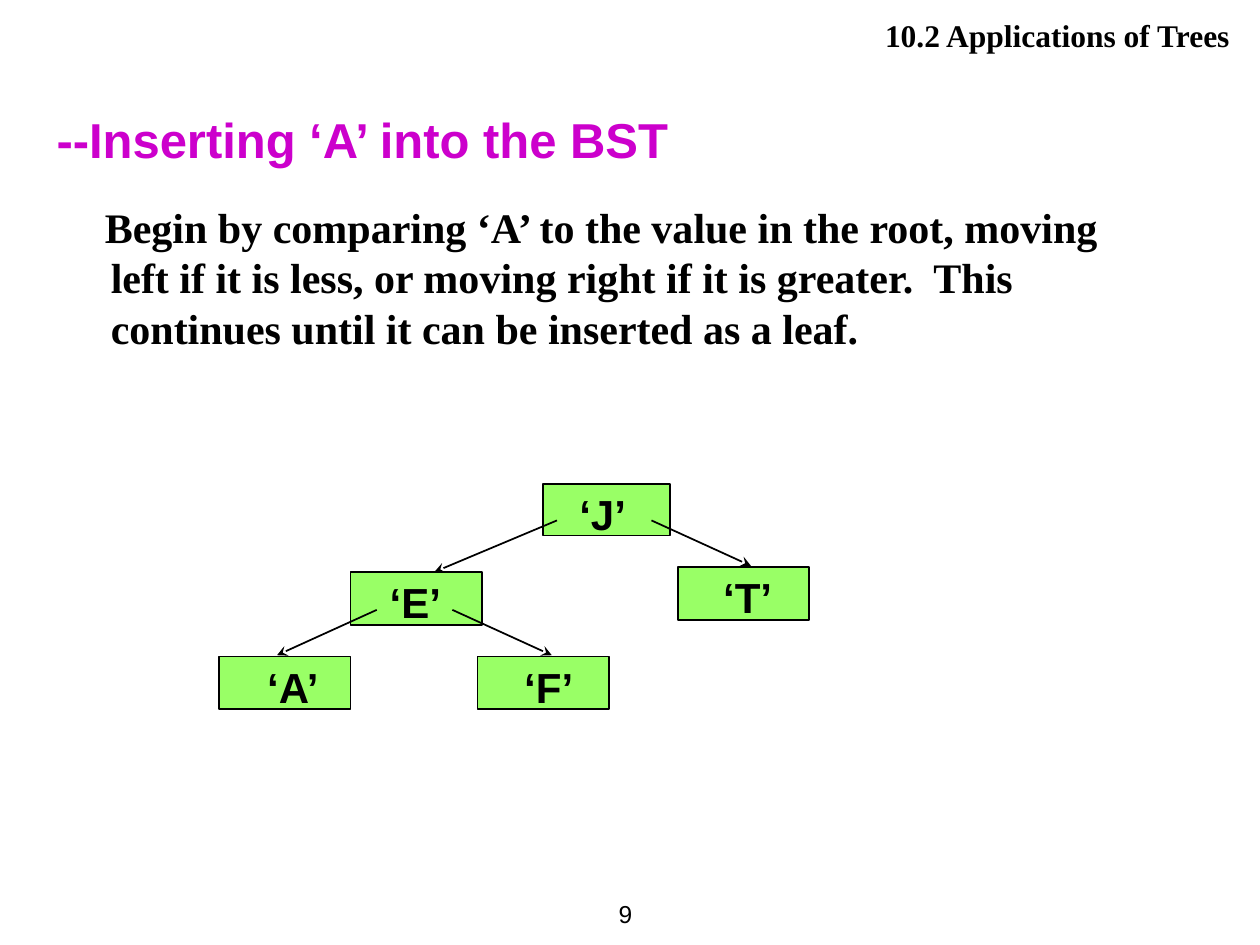
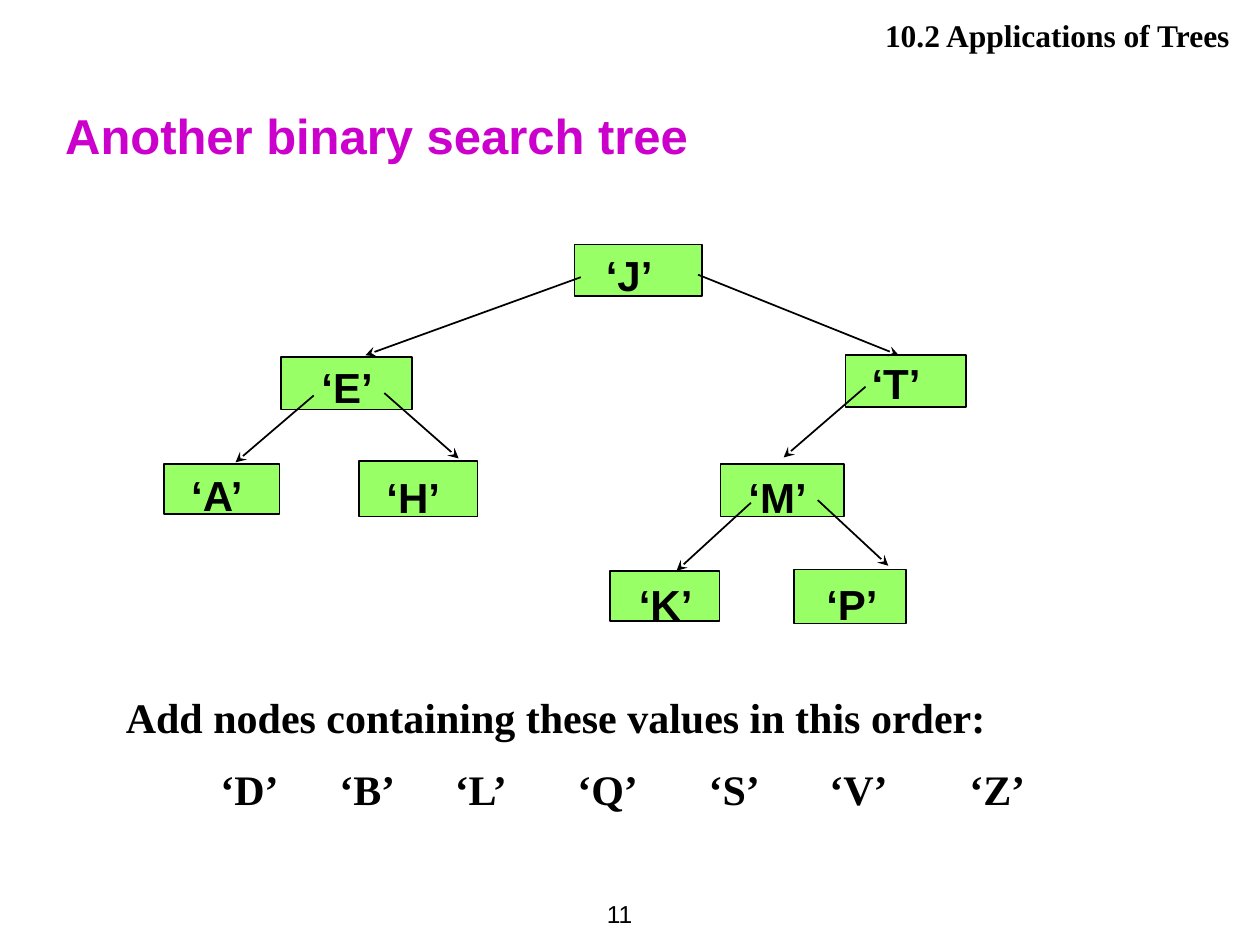
import pptx
import pptx.util
import pptx.dml.color
import pptx.enum.shapes
import pptx.enum.text
import pptx.oxml.ns
from lxml import etree

Pt = pptx.util.Pt
Align = pptx.enum.text.PP_ALIGN
Anchor = pptx.enum.text.MSO_ANCHOR
SANS, SERIF = "Arial", "Times New Roman"
BLACK, GREEN, PURPLE = "000000", "99FF66", "CC00CC"
STOPS = (54, 122, 188, 258, 333, 402, 482)
VALUES = ("‘D’", "‘B’", "‘L’", "‘Q’", "‘S’", "‘V’", "‘Z’")

# name, box (x, y, width, height), label shift (x, y)
SMALL_NODES = (
    ("‘J’", (185, 0.7, 72.7, 29.5), (13.7, -0.7)),
    ("‘E’", (75, 51, 75, 30.2), (15.3, -0.7)),
    ("‘F’", (147.6, 99.3, 75, 30.2), (19.6, -0.7)),
    ("‘T’", (262, 48.2, 75, 30.2), (18.9, -0.7)),
    ("‘A’", (0, 99.3, 75, 30.2), (20.3, -0.7)),
)
SMALL_LINKS = (
    (193, 21.6, 123, 51),
    (247, 21.6, 303.8, 47.5),
    (90, 72.7, 33, 98.6),
    (133.2, 72.7, 190, 98.6),
)
LARGE_NODES = (
    ("‘J’", (234.7, 0.7, 72.7, 29.5), (10.8, -0.7)),
    ("‘E’", (67, 64.8, 75, 30.2), (16, -0.7)),
    ("‘T’", (389.5, 64, 69, 29.5), (7.9, -2.2)),
    ("‘A’", (0, 126, 66.2, 28.8), (8.6, 0)),
    ("‘H’", (111.6, 124.5, 67.7, 31.7), (8.6, 2.2)),
    ("‘M’", (318.2, 126, 70.6, 30.2), (8.8, 0.7)),
    ("‘K’", (255, 187.2, 62.6, 28.8), (9.4, 0.7)),
    ("‘P’", (360, 186.4, 64, 31), (11.5, 1.4)),
)
LARGE_LINKS = (
    (238.3, 19.4, 115.2, 64),
    (305.3, 18, 420, 64),
    (85.7, 87, 41, 125.2),
    (126, 85.6, 168.5, 123),
    (401, 82, 354.2, 122.4),
    (335.5, 148.3, 293, 187.2),
    (373.7, 146.8, 414, 184.3),
)


def color(code):
    return pptx.dml.color.RGBColor.from_string(code)


def child(node, tag, **attrs):
    return etree.SubElement(node, pptx.oxml.ns.qn(tag), attrs)


def write(slide, box, lines, size, face=SANS, ink=BLACK, bold=True,
          align=Align.LEFT, anchor=Anchor.TOP):
    frame = slide.shapes.add_textbox(*map(Pt, box)).text_frame
    frame.word_wrap = True
    frame.vertical_anchor = anchor
    for index, line in enumerate(lines):
        para = frame.add_paragraph() if index else frame.paragraphs[0]
        para.text = line
        para.alignment = align
        font = para.font
        font.name, font.size, font.bold = face, Pt(size), bold
        font.color.rgb = color(ink)
    return frame.paragraphs


def draw_frame(slide, title, box, number):
    write(slide, (286.6, 5.8, 423.2, 29), ["10.2 Applications of Trees"],
          18, SERIF, align=Align.RIGHT)
    write(slide, box, [title], 28, ink=PURPLE, anchor=Anchor.BOTTOM)
    write(slide, (320.4, 504, 48, 36), [number], 14, bold=False,
          align=Align.RIGHT, anchor=Anchor.MIDDLE)


def draw_link(slide, left, top, ends):
    x1, y1, x2, y2 = ends
    link = slide.shapes.add_connector(
        pptx.enum.shapes.MSO_CONNECTOR.STRAIGHT,
        Pt(left + x1), Pt(top + y1), Pt(left + x2), Pt(top + y2))
    link.line.width = Pt(1)
    link.line.color.rgb = color(BLACK)
    child(link.line._get_or_add_ln(), "a:tailEnd", type="stealth")
    child(link._element.spPr, "a:effectLst")


def draw_tree(slide, left, top, nodes, links):
    for name, (x, y, width, height), shift in nodes:
        rect = slide.shapes.add_shape(
            pptx.enum.shapes.MSO_SHAPE.RECTANGLE,
            Pt(left + x), Pt(top + y), Pt(width), Pt(height))
        rect.shadow.inherit = False
        rect.fill.solid()
        rect.fill.fore_color.rgb = color(GREEN)
        rect.line.color.rgb = color(BLACK)
        rect.line.width = Pt(1)
    for ends in links:
        draw_link(slide, left, top, ends)
    for name, (x, y, width, height), (dx, dy) in nodes:
        write(slide, (left + x + dx, top + y + dy, 50, 36), [name], 24)


def draw_intro(slide, box):
    para = write(slide, box, [
        "Begin by comparing ‘A’ to the value in the root, moving left if it "
        "is less, or moving right if it is greater.  This continues until "
        "it can be inserted as a leaf."], 24, SERIF)[0]
    props = para._p.get_or_add_pPr()
    props.set("marL", str(Pt(27.4)))
    props.set("indent", str(Pt(-3.4)))


def draw_task(slide, box):
    row = "".join("\t" + value for value in VALUES)
    para = write(slide, box, [
        "Add nodes containing these values in this order:", row],
        24, SERIF)[1]
    para.space_before = Pt(12)
    props = para._p.get_or_add_pPr()
    tabs = etree.Element(pptx.oxml.ns.qn("a:tabLst"))
    for stop in STOPS:
        child(tabs, "a:tab", pos=str(Pt(stop)), algn="l")
    props.find(pptx.oxml.ns.qn("a:spcBef")).addnext(tabs)


def main():
    deck = pptx.Presentation()
    deck.slide_width, deck.slide_height = Pt(720), Pt(540)
    blank = deck.slide_layouts[6]

    slide = deck.slides.add_slide(blank)
    draw_frame(slide, "--Inserting ‘A’ into the BST", (25.2, 49, 660, 51), "9")
    draw_intro(slide, (28.8, 111.6, 639.4, 108))
    draw_tree(slide, 125.3, 275.8, SMALL_NODES, SMALL_LINKS)

    slide = deck.slides.add_slide(blank)
    draw_frame(slide, "Another binary search tree", (30.2, 43.2, 670, 54), "11")
    draw_tree(slide, 93.6, 139, LARGE_NODES, LARGE_LINKS)
    draw_task(slide, (64.8, 391.7, 541.4, 77))

    deck.save("out.pptx")


if __name__ == "__main__":
    main()
